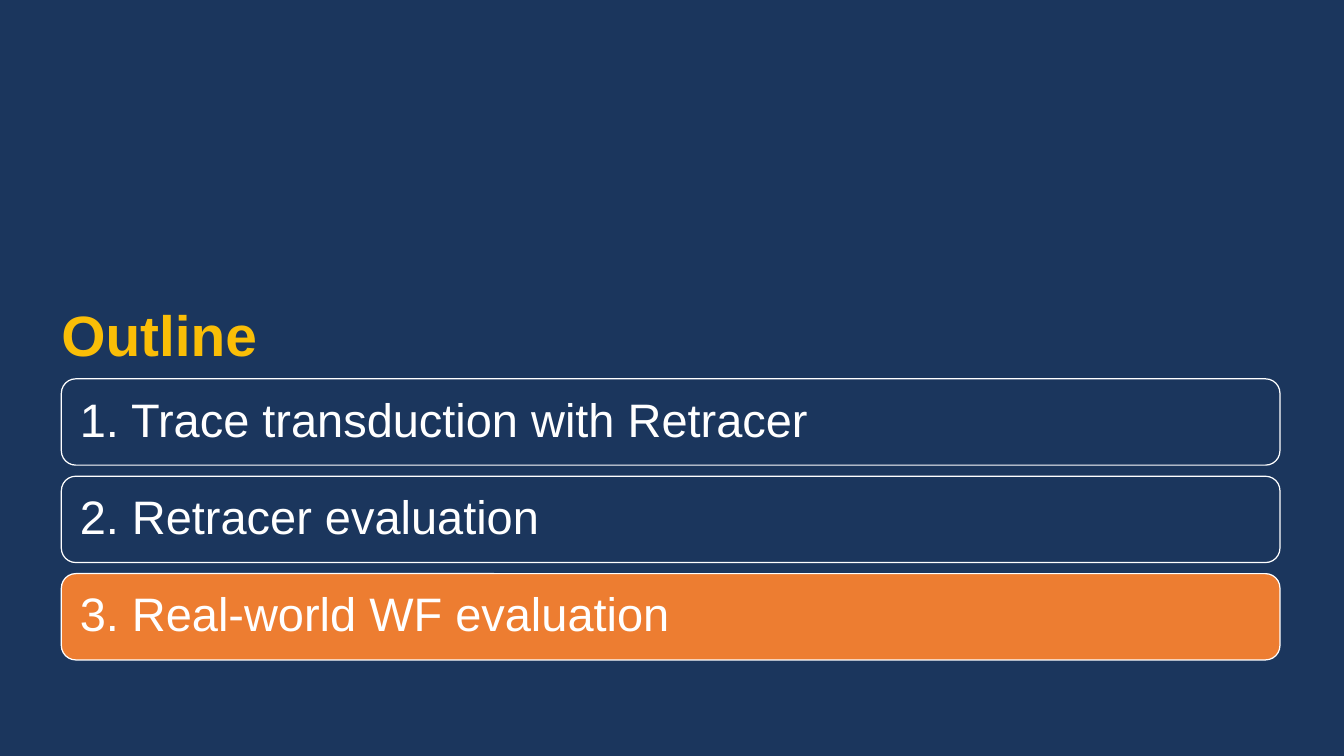
from dataclasses import dataclass

from pptx import Presentation
from pptx.dml.color import RGBColor
from pptx.enum.shapes import MSO_SHAPE
from pptx.enum.text import MSO_ANCHOR, PP_ALIGN
from pptx.slide import Slide
from pptx.text.text import TextFrame
from pptx.util import Inches, Pt

ROUNDED = MSO_SHAPE.ROUNDED_RECTANGLE
MIDDLE = MSO_ANCHOR.MIDDLE
LEFT = PP_ALIGN.LEFT


@dataclass(frozen=True)
class Theme:
    navy: RGBColor = RGBColor(0x1B, 0x36, 0x5D)
    orange: RGBColor = RGBColor(0xED, 0x7D, 0x31)
    gold: RGBColor = RGBColor(0xFA, 0xBE, 0x07)
    white: RGBColor = RGBColor(0xFF, 0xFF, 0xFF)
    font: str = "Arial"
    title_size: int = 46
    topic_size: int = 38
    border: int = 1


@dataclass(frozen=True)
class Grid:
    """One column of equal rows, in inches."""
    left: float = 0.69
    width: float = 13.7
    top: float = 4.26
    row_height: float = 0.97
    pitch: float = 1.095

    def row_top(self, row: int) -> float:
        return self.top + row * self.pitch


@dataclass(frozen=True)
class Topic:
    text: str
    current: bool = False


THEME = Theme()
GRID = Grid()
SLIDE_WIDTH, SLIDE_HEIGHT = 15.11, 8.5
TITLE_TOP, TITLE_HEIGHT = 3.55, 0.5
TOPIC_INSET = 0.16
TOPICS = [
    Topic("1. Trace transduction with Retracer"),
    Topic("2. Retracer evaluation"),
    Topic("3. Real-world WF evaluation", current=True),
]


def write(tf: TextFrame, text: str, size: int, color: RGBColor,
          bold: bool = False, inset: float = 0) -> None:
    tf.text = text
    tf.word_wrap = True
    tf.vertical_anchor = MIDDLE
    tf.margin_left = tf.margin_right = Inches(inset)
    tf.margin_top = tf.margin_bottom = Inches(inset)
    p = tf.paragraphs[0]
    p.alignment = LEFT
    p.line_spacing = 0.9
    r = p.runs[0]
    r.font.name = THEME.font
    r.font.size = Pt(size)
    r.font.bold = bold
    r.font.color.rgb = color


def add_title(s: Slide, text: str) -> None:
    sp = s.shapes.add_textbox(Inches(GRID.left), Inches(TITLE_TOP),
                              Inches(GRID.width), Inches(TITLE_HEIGHT))
    write(sp.text_frame, text, THEME.title_size, THEME.gold, bold=True)


def add_topic(s: Slide, row: int, topic: Topic) -> None:
    sp = s.shapes.add_shape(ROUNDED, Inches(GRID.left), Inches(GRID.row_top(row)),
                            Inches(GRID.width), Inches(GRID.row_height))
    sp.shadow.inherit = False
    sp.fill.solid()
    sp.fill.fore_color.rgb = THEME.orange if topic.current else THEME.navy
    sp.line.color.rgb = THEME.white
    sp.line.width = Pt(THEME.border)
    write(sp.text_frame, topic.text, THEME.topic_size, THEME.white, inset=TOPIC_INSET)


def main() -> None:
    prs = Presentation()
    prs.slide_width = Inches(SLIDE_WIDTH)
    prs.slide_height = Inches(SLIDE_HEIGHT)
    s = prs.slides.add_slide(prs.slide_layouts[6])
    s.background.fill.solid()
    s.background.fill.fore_color.rgb = THEME.navy
    add_title(s, "Outline")
    for row, topic in enumerate(TOPICS):
        add_topic(s, row, topic)
    prs.save("out.pptx")


if __name__ == "__main__":
    main()
